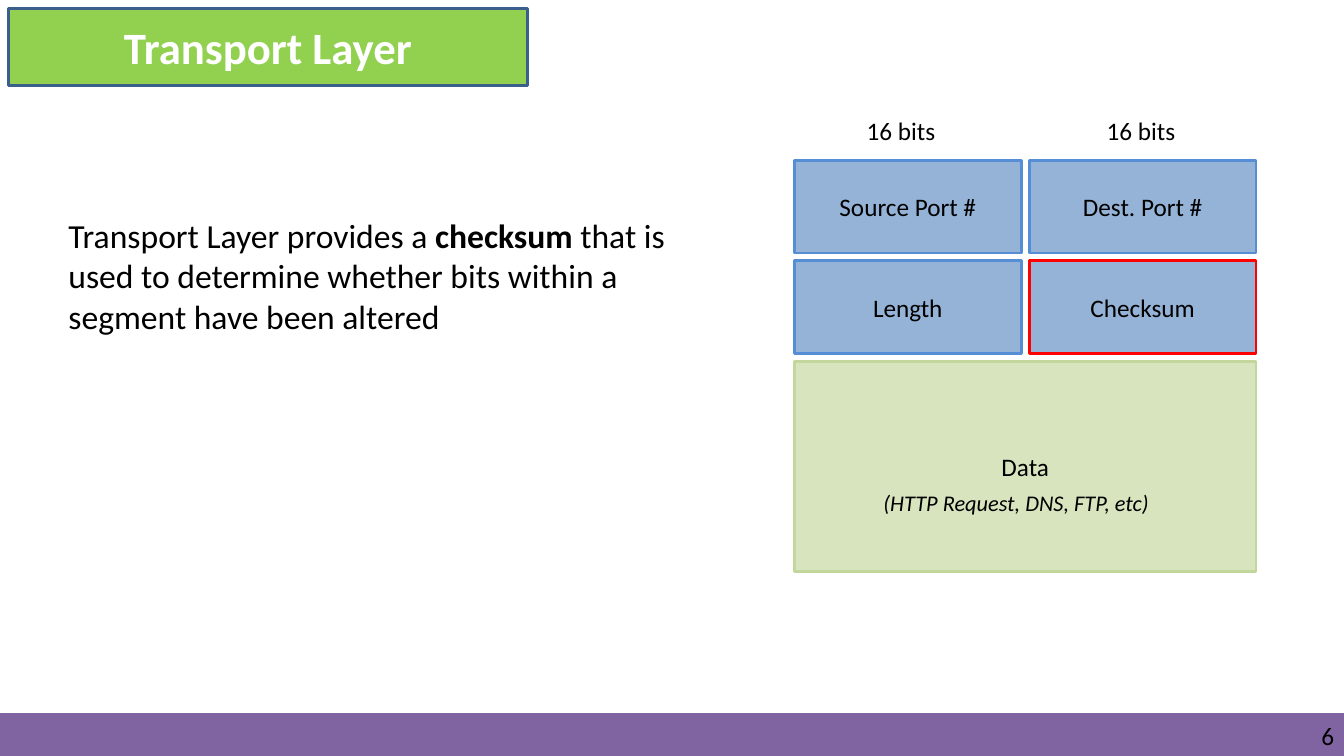
from dataclasses import dataclass

from pptx import Presentation
from pptx.dml.color import RGBColor
from pptx.enum.shapes import MSO_SHAPE
from pptx.enum.text import MSO_ANCHOR, PP_ALIGN
from pptx.util import Pt

RECT = MSO_SHAPE.RECTANGLE
MIDDLE = MSO_ANCHOR.MIDDLE
LEFT, CENTER, RIGHT = PP_ALIGN.LEFT, PP_ALIGN.CENTER, PP_ALIGN.RIGHT

BLACK = RGBColor(0x00, 0x00, 0x00)
WHITE = RGBColor(0xFF, 0xFF, 0xFF)
RED = RGBColor(0xFF, 0x00, 0x00)
PURPLE = RGBColor(0x80, 0x64, 0xA2)
LIME = RGBColor(0x92, 0xD0, 0x50)
NAVY = RGBColor(0x3A, 0x5F, 0x8C)
BLUE = RGBColor(0x95, 0xB3, 0xD7)
EDGE = RGBColor(0x55, 0x8E, 0xD5)
GREEN = RGBColor(0xD7, 0xE4, 0xBD)
MOSS = RGBColor(0xC3, 0xD6, 0x9B)

# Segment diagram grid, in points
GRID_X, GRID_Y = 567.4, 114.5
CELL_W, CELL_H = 162, 66.2
STEP_X, STEP_Y = 167.8, 71.8


@dataclass
class Box:
    x: float
    y: float
    w: float
    h: float
    fill: RGBColor
    edge: RGBColor
    text: str = ""
    size: float = 18
    color: RGBColor = BLACK
    bold: bool = False
    line: float = 2


@dataclass
class Label:
    """Text whose runs alternate between regular and bold."""
    x: float
    y: float
    w: float
    h: float
    runs: tuple[str, ...]
    size: float = 18
    italic: bool = False
    align: PP_ALIGN = LEFT
    inset: bool = True


def set_font(para, size: float, color: RGBColor) -> None:
    para.font.name = "Calibri"
    para.font.size = Pt(size)
    para.font.color.rgb = color


def draw_box(slide, box: Box) -> None:
    shape = slide.shapes.add_shape(RECT, Pt(box.x), Pt(box.y), Pt(box.w), Pt(box.h))
    shape.shadow.inherit = False
    shape.fill.solid()
    shape.fill.fore_color.rgb = box.fill
    shape.line.color.rgb = box.edge
    shape.line.width = Pt(box.line)
    if box.text:
        frame = shape.text_frame
        frame.vertical_anchor = MIDDLE
        para = frame.paragraphs[0]
        para.text = box.text
        para.alignment = CENTER
        set_font(para, box.size, box.color)
        para.font.bold = box.bold


def draw_label(slide, label: Label) -> None:
    shape = slide.shapes.add_textbox(Pt(label.x), Pt(label.y), Pt(label.w), Pt(label.h))
    frame = shape.text_frame
    frame.word_wrap = True
    if not label.inset:
        frame.margin_left = frame.margin_right = Pt(0)
        frame.margin_top = frame.margin_bottom = Pt(0)
    para = frame.paragraphs[0]
    para.alignment = label.align
    set_font(para, label.size, BLACK)
    para.font.italic = label.italic
    for i, text in enumerate(label.runs):
        run = para.add_run()
        run.text = text
        if i % 2:
            run.font.bold = True


def main() -> None:
    deck = Presentation()
    deck.slide_width, deck.slide_height = Pt(960), Pt(540)
    slide = deck.slides.add_slide(deck.slide_layouts[6])

    fields = (("Source Port #", "Dest. Port #"), ("Length", "Checksum"))
    boxes = [
        Box(0, 509.8, 960, 30.2, PURPLE, PURPLE, line=1),
        Box(6, 6, 371, 55.2, LIME, NAVY, "Transport Layer", 32, WHITE, True),
    ]
    for row, names in enumerate(fields):
        for col, name in enumerate(names):
            edge = RED if name == "Checksum" else EDGE
            boxes.append(Box(GRID_X + col * STEP_X, GRID_Y + row * STEP_Y,
                             CELL_W, CELL_H, BLUE, edge, name))
    boxes.append(Box(GRID_X, GRID_Y + 2 * STEP_Y, STEP_X + CELL_W, 150.4,
                     GREEN, MOSS, "Data"))

    labels = [
        Label(732, 514.8, 221, 21.8, ("6",), align=RIGHT, inset=False),
        Label(612, 78.7, 68.4, 29, ("16 bits",)),
        Label(783.4, 78.7, 68.4, 29, ("16 bits",)),
        Label(41.8, 150, 483, 94.4,
              ("Transport Layer provides a ", "checksum",
               " that is used to determine whether bits within a segment "
               "have been altered"), 24),
        Label(624, 345.6, 245.5, 26.6, ("(HTTP Request, DNS, FTP, etc)",), 16, True),
    ]
    for box in boxes:
        draw_box(slide, box)
    for label in labels:
        draw_label(slide, label)
    deck.save("out.pptx")


if __name__ == "__main__":
    main()
